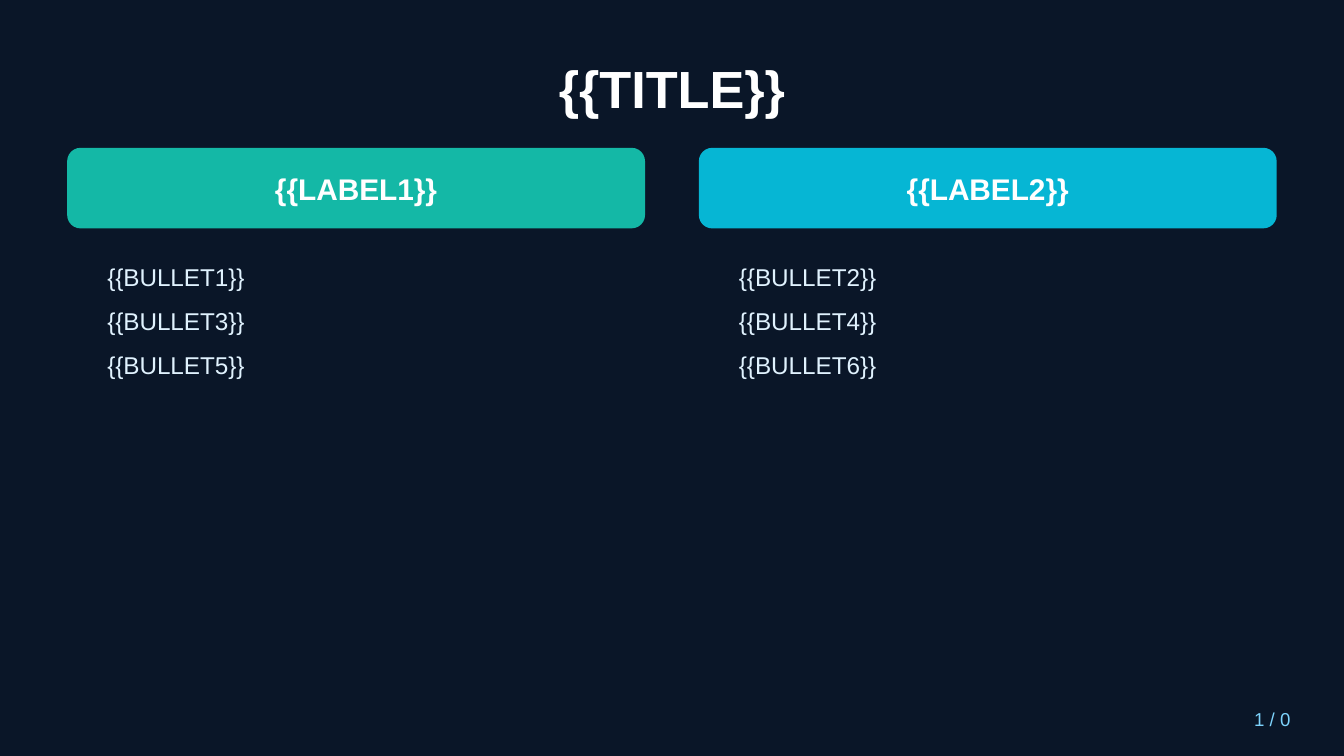
from pptx import Presentation
from pptx.dml.color import RGBColor
from pptx.enum.shapes import MSO_SHAPE
from pptx.enum.text import MSO_ANCHOR, MSO_AUTO_SIZE, PP_ALIGN
from pptx.util import Pt

EMU_PER_PX = 11430
TITLE_ONLY = 5
ROUNDED = MSO_SHAPE.ROUNDED_RECTANGLE
TOP, MIDDLE = MSO_ANCHOR.TOP, MSO_ANCHOR.MIDDLE
LEFT, CENTER, RIGHT = PP_ALIGN.LEFT, PP_ALIGN.CENTER, PP_ALIGN.RIGHT
NO_AUTOFIT = MSO_AUTO_SIZE.NONE
FONT = "Arial"
COLORS = {
    "background": "0A1628",
    "white": "FFFFFF",
    "teal": "14B8A6",
    "cyan": "06B6D4",
    "body": "E0F2FE",
    "page": "7DD3FC",
}
COLUMN_LEFT, COLUMN_STEP, COLUMN_WIDTH, BODY_INDENT = 40, 376, 344, 16
COLUMNS = [
    ("{{LABEL1}}", "teal", ["{{BULLET1}}", "{{BULLET3}}", "{{BULLET5}}"]),
    ("{{LABEL2}}", "cyan", ["{{BULLET2}}", "{{BULLET4}}", "{{BULLET6}}"]),
]


def px(*lengths):
    """Turn px lengths into a list of EMU."""
    return [length * EMU_PER_PX for length in lengths]


def paint(fill, color):
    """Make a fill solid in a named colour."""
    fill.solid()
    fill.fore_color.rgb = RGBColor.from_string(COLORS[color])


def write(shape, lines, size, color, bold=False, align=LEFT, anchor=MIDDLE, after=0):
    """Write one paragraph per line into a shape and format it."""
    frame = shape.text_frame
    frame.word_wrap = True
    frame.auto_size = NO_AUTOFIT
    frame.vertical_anchor = anchor
    frame.text = "\n".join(lines)
    for paragraph in frame.paragraphs:
        paragraph.alignment = align
        paragraph.space_before = Pt(0)
        paragraph.space_after = Pt(after)
        for run in paragraph.runs:
            font = run.font
            font.name, font.size, font.bold = FONT, Pt(size), bold
            font.color.rgb = RGBColor.from_string(COLORS[color])


def add_title(slide, text):
    """Place and format the title placeholder."""
    title = slide.shapes.title
    title.left, title.top, title.width, title.height = px(40, 24, 720, 56)
    write(title, [text], 28, "white", bold=True, align=CENTER)


def add_text(slide, box, lines, **text_format):
    """Add a text box with formatted lines."""
    write(slide.shapes.add_textbox(*px(*box)), lines, **text_format)


def add_label(slide, box, text, color):
    """Add a rounded bar with a column heading on it."""
    bar = slide.shapes.add_shape(ROUNDED, *px(*box))
    bar.shadow.inherit = False
    paint(bar.fill, color)
    bar.line.fill.background()
    add_text(slide, box, [text], size=16, color="white", bold=True, align=CENTER)


def add_bullets(slide, box, bullets):
    """Add the list of a column."""
    add_text(slide, box, bullets, size=13, color="body", anchor=TOP, after=8)


def main():
    """Build and save the two-column slide."""
    presentation = Presentation()
    presentation.slide_width, presentation.slide_height = px(800, 450)
    slide = presentation.slides.add_slide(presentation.slide_layouts[TITLE_ONLY])
    paint(slide.background.fill, "background")
    add_title(slide, "{{TITLE}}")
    lefts = [COLUMN_LEFT + index * COLUMN_STEP for index in range(len(COLUMNS))]
    for left, (label, color, _) in zip(lefts, COLUMNS):
        add_label(slide, (left, 88, COLUMN_WIDTH, 48), label, color)
    for left, (_, _, bullets) in zip(lefts, COLUMNS):
        box = (left + BODY_INDENT, 152, COLUMN_WIDTH - 2 * BODY_INDENT, 224)
        add_bullets(slide, box, bullets)
    add_text(slide, (680, 416, 96, 24), ["1 / 0"], size=10, color="page", align=RIGHT)
    presentation.save("out.pptx")


if __name__ == "__main__":
    main()
